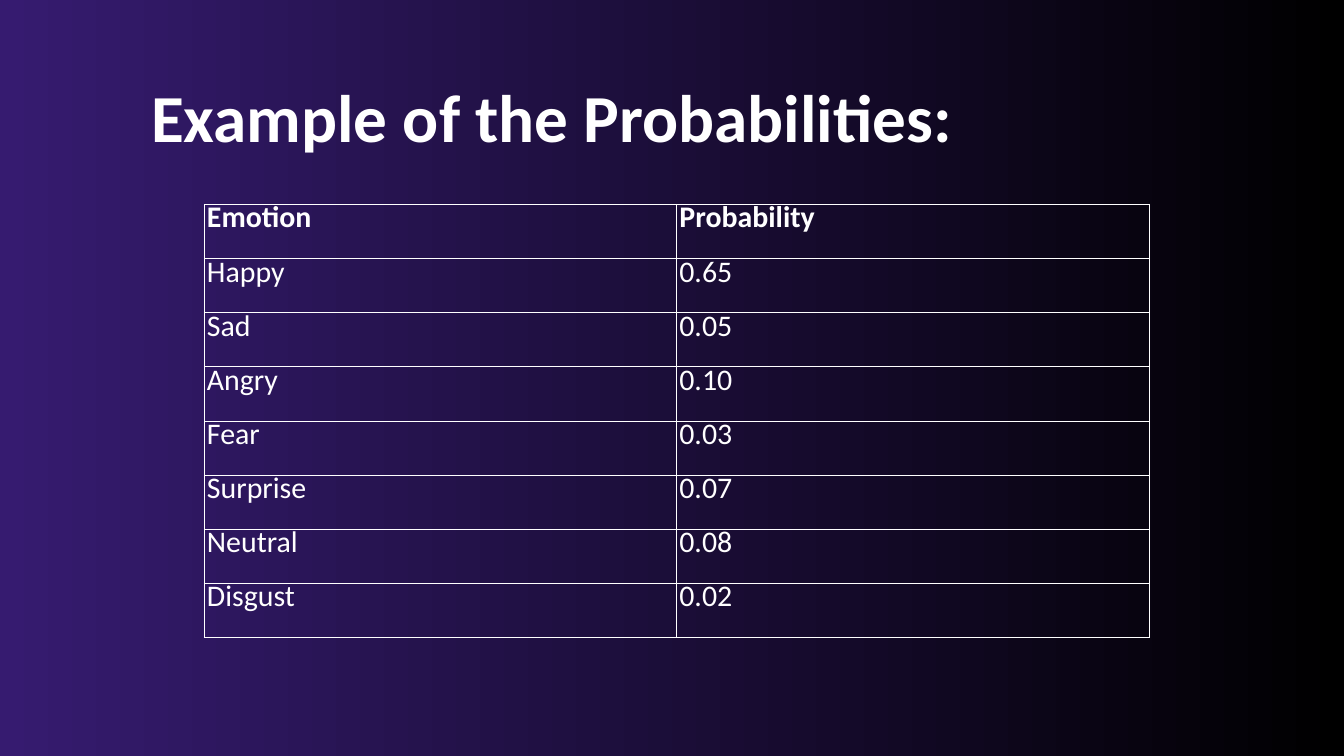
from typing import NamedTuple

from lxml.etree import SubElement
from pptx import Presentation
from pptx.dml.color import RGBColor
from pptx.enum.text import MSO_ANCHOR, MSO_AUTO_SIZE
from pptx.oxml.ns import qn
from pptx.util import Inches, Pt

FONT = "Calibri"
WHITE = "FFFFFF"
GRADIENT = ("361B70", "000000")
BORDER_SIDES = ("a:lnL", "a:lnR", "a:lnT", "a:lnB")


class Row(NamedTuple):
    emotion: str
    probability: str


ROWS = [
    Row("Emotion", "Probability"),
    Row("Happy", "0.65"),
    Row("Sad", "0.05"),
    Row("Angry", "0.10"),
    Row("Fear", "0.03"),
    Row("Surprise", "0.07"),
    Row("Neutral", "0.08"),
    Row("Disgust", "0.02"),
]


def rgb(color: str) -> RGBColor:
    return RGBColor.from_string(color)


def style_paragraph(p, size: float, bold: bool, spacing: float) -> None:
    p.line_spacing = Pt(spacing)
    p.font.name = FONT
    p.font.size = Pt(size)
    p.font.bold = bold
    p.font.color.rgb = rgb(WHITE)


def set_borders(cell, color: str, width: float) -> None:
    tc_pr = cell._tc.get_or_add_tcPr()
    for side in BORDER_SIDES:
        ln = SubElement(tc_pr, qn(side), w=str(Pt(width)))
        fill = SubElement(ln, qn("a:solidFill"))
        SubElement(fill, qn("a:srgbClr"), val=color)


def fill_cell(cell, text: str, bold: bool) -> None:
    set_borders(cell, WHITE, 1)
    cell.fill.background()
    cell.vertical_anchor = MSO_ANCHOR.MIDDLE
    cell.margin_left = cell.margin_right = Inches(0.04)
    cell.margin_top = cell.margin_bottom = Inches(0.02)
    cell.text = text
    style_paragraph(cell.text_frame.paragraphs[0], 32, bold, 9.8)


def add_background(s) -> None:
    fill = s.background.fill
    fill.gradient()
    fill.gradient_angle = 0
    for stop, color in zip(fill.gradient_stops, GRADIENT):
        stop.color.rgb = rgb(color)


def add_probability_table(s) -> None:
    frame = s.shapes.add_table(
        len(ROWS), len(Row._fields),
        Inches(3.04), Inches(3.04), Inches(14.06), Inches(6.45),
    )
    for i, row in enumerate(ROWS):
        for j, text in enumerate(row):
            fill_cell(frame.table.cell(i, j), text, bold=i == 0)


def add_title(s, text: str) -> None:
    sp = s.shapes.add_textbox(Inches(2.25), Inches(1.19), Inches(14.06), Inches(1.14))
    tf = sp.text_frame
    tf.word_wrap = True
    tf.auto_size = MSO_AUTO_SIZE.SHAPE_TO_FIT_TEXT
    tf.margin_left = tf.margin_top = tf.margin_right = tf.margin_bottom = 0
    tf.text = text
    style_paragraph(tf.paragraphs[0], 72, True, 81.4)


def main() -> None:
    prs = Presentation()
    prs.slide_width = Inches(20)
    prs.slide_height = Inches(11.25)
    s = prs.slides.add_slide(prs.slide_layouts[6])
    add_background(s)
    add_probability_table(s)
    add_title(s, "Example of the Probabilities:")
    prs.save("out.pptx")


if __name__ == "__main__":
    main()
